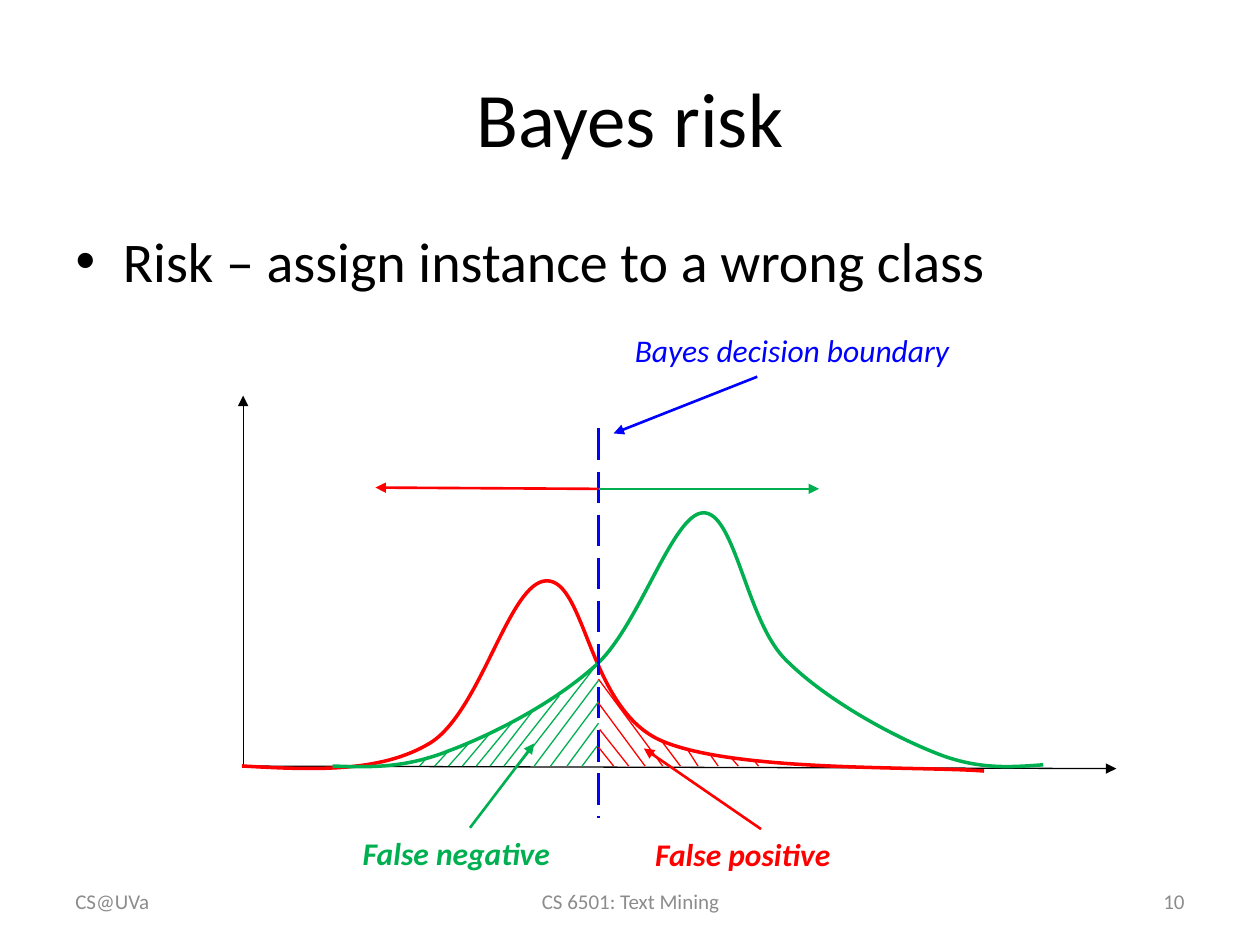
from lxml import etree
from pptx import Presentation
from pptx.dml.color import RGBColor
from pptx.enum.dml import MSO_LINE
from pptx.enum.shapes import MSO_CONNECTOR
from pptx.enum.text import MSO_ANCHOR, PP_ALIGN
from pptx.oxml.ns import qn
from pptx.util import Inches, Pt

STRAIGHT = MSO_CONNECTOR.STRAIGHT
LONG_DASH = MSO_LINE.LONG_DASH
MIDDLE = MSO_ANCHOR.MIDDLE
LEFT, CENTER, RIGHT = PP_ALIGN.LEFT, PP_ALIGN.CENTER, PP_ALIGN.RIGHT
FONT = "Calibri"
BLACK, GREY, RED, GREEN, BLUE = "000000", "8C8C8C", "FF0000", "00B050", "0000FF"

TITLE = "Bayes risk"
BULLET = "Risk – assign instance to a wrong class"
FOOTERS = [
    ("CS@UVa", 0.5, 2.33, LEFT),
    ("CS 6501: Text Mining", 3.42, 3.17, CENTER),
    ("10", 7.17, 2.33, RIGHT),
]
LABELS = [
    ("False positive", 5.1, 6.58, 1.89, RED, True),
    ("False negative", 2.78, 6.57, 1.89, GREEN, True),
    ("Bayes decision boundary", 4.94, 2.58, 4, BLUE, False),
]
AXES = [((1.93, 6.08), (8.86, 6.1)), ((1.93, 6.08), (1.93, 3.14))]
BOUNDARY = ((4.75, 3.4), (4.75, 6.49))
ARROWS = [
    ((4.75, 3.88), (2.98, 3.87), RED),
    ((4.75, 3.88), (6.5, 3.88), GREEN),
    ((6.04, 6.58), (5.11, 5.94), RED),
    ((3.73, 6.57), (4.24, 5.9), GREEN),
    ((6.01, 2.99), (4.87, 3.44), BLUE),
]
CURVES = [
    (RED, [
        (1.92, 6.08),
        (2.46, 6.11), (3.01, 6.14), (3.41, 5.9),
        (3.82, 5.65), (4.04, 4.61), (4.34, 4.61),
        (4.65, 4.61), (4.67, 5.63), (5.25, 5.88),
        (5.83, 6.13), (7.3, 6.08), (7.81, 6.12),
    ]),
    (GREEN, [
        (2.64, 6.08),
        (2.92, 6.09), (3.21, 6.1), (3.56, 5.96),
        (3.91, 5.83), (4.4, 5.58), (4.74, 5.27),
        (5.08, 4.95), (5.34, 4.08), (5.58, 4.07),
        (5.83, 4.06), (5.92, 4.9), (6.22, 5.22),
        (6.53, 5.54), (7.06, 5.83), (7.41, 5.97),
        (7.75, 6.11), (8.01, 6.09), (8.28, 6.07),
    ]),
]
HATCH_BASE = 6.08
HATCHES = [
    (GREEN, [
        (3.4, 6, 3.33), (3.56, 5.96, 3.45), (3.72, 5.9, 3.56), (3.88, 5.83, 3.67),
        (4.06, 5.74, 3.78), (4.23, 5.64, 3.89), (4.44, 5.52, 4), (4.74, 5.27, 4.11),
        (4.75, 5.4, 4.24), (4.75, 5.57, 4.37), (4.75, 5.74, 4.5), (4.74, 5.92, 4.62),
    ]),
    (RED, [
        (4.75, 5.93, 4.87), (4.76, 5.79, 4.99), (4.75, 5.58, 5.12),
        (4.75, 5.39, 5.26), (5.25, 5.88, 5.4), (5.45, 5.94, 5.54),
        (5.63, 5.98, 5.7), (5.79, 6, 5.86), (5.98, 6.03, 6.02),
    ]),
]


def rgb(value):
    return RGBColor.from_string(value)


def write(box, text, size, color, align=LEFT, bold=False, italic=False):
    box.text_frame.word_wrap = True
    para = box.text_frame.paragraphs[0]
    para.text = text
    para.alignment = align
    font = para.font
    font.name, font.size, font.color.rgb = FONT, Pt(size), rgb(color)
    font.bold, font.italic = bold, italic


def place(shape, *bounds):
    shape.left, shape.top, shape.width, shape.height = map(Inches, bounds)


def add_text(slide, bounds, *style, **options):
    box = slide.shapes.add_textbox(*map(Inches, bounds))
    write(box, *style, **options)
    return box


def add_line(slide, start, end, color, width, arrow=False):
    line = slide.shapes.add_connector(STRAIGHT, *map(Inches, start + end))
    line.line.color.rgb = rgb(color)
    line.line.width = Pt(width)
    if arrow:
        outline = line.line._get_or_add_ln()
        etree.SubElement(outline, qn("a:tailEnd"), type="triangle")
    etree.SubElement(line._element.spPr, qn("a:effectLst"))
    return line


def add_curve(slide, points, color):
    corners = [tuple(map(Inches, point)) for point in points]
    builder = slide.shapes.build_freeform(*corners[0])
    builder.add_line_segments(corners[1:], close=False)
    curve = builder.convert_to_shape()
    segments = list(curve._element.iter(qn("a:lnTo")))
    outline = segments[0].getparent()
    for first in range(0, len(segments), 3):
        bezier = etree.SubElement(outline, qn("a:cubicBezTo"))
        for segment in segments[first:first + 3]:
            bezier.append(segment[0])
            outline.remove(segment)
    curve.fill.background()
    curve.line.color.rgb = rgb(color)
    curve.line.width = Pt(2)
    curve.shadow.inherit = False


def main():
    deck = Presentation()
    deck.slide_width, deck.slide_height = Inches(10), Inches(7.5)
    slide = deck.slides.add_slide(deck.slide_layouts[1])

    title, body = slide.placeholders
    place(title, 0.5, 0.3, 9, 1.25)
    write(title, TITLE, 44, BLACK, CENTER)
    place(body, 0.5, 1.75, 9, 4.95)
    write(body, BULLET, 32, BLACK)

    for text, left, width, align in FOOTERS:
        box = add_text(slide, (left, 6.95, width, 0.4), text, 12, GREY, align)
        box.text_frame.vertical_anchor = MIDDLE

    for start, end in AXES:
        add_line(slide, start, end, BLACK, 0.75, arrow=True)
    for color, points in CURVES:
        add_curve(slide, points, color)
    add_line(slide, *BOUNDARY, BLUE, 2.25).line.dash_style = LONG_DASH
    for color, strokes in HATCHES:
        for x, y, base_x in strokes:
            add_line(slide, (x, y), (base_x, HATCH_BASE), color, 0.75)
    for start, end, color in ARROWS:
        add_line(slide, start, end, color, 1.5, arrow=True)
    for text, left, top, width, color, bold in LABELS:
        add_text(slide, (left, top, width, 0.4), text, 18, color, bold=bold, italic=True)

    deck.save("out.pptx")


if __name__ == "__main__":
    main()
